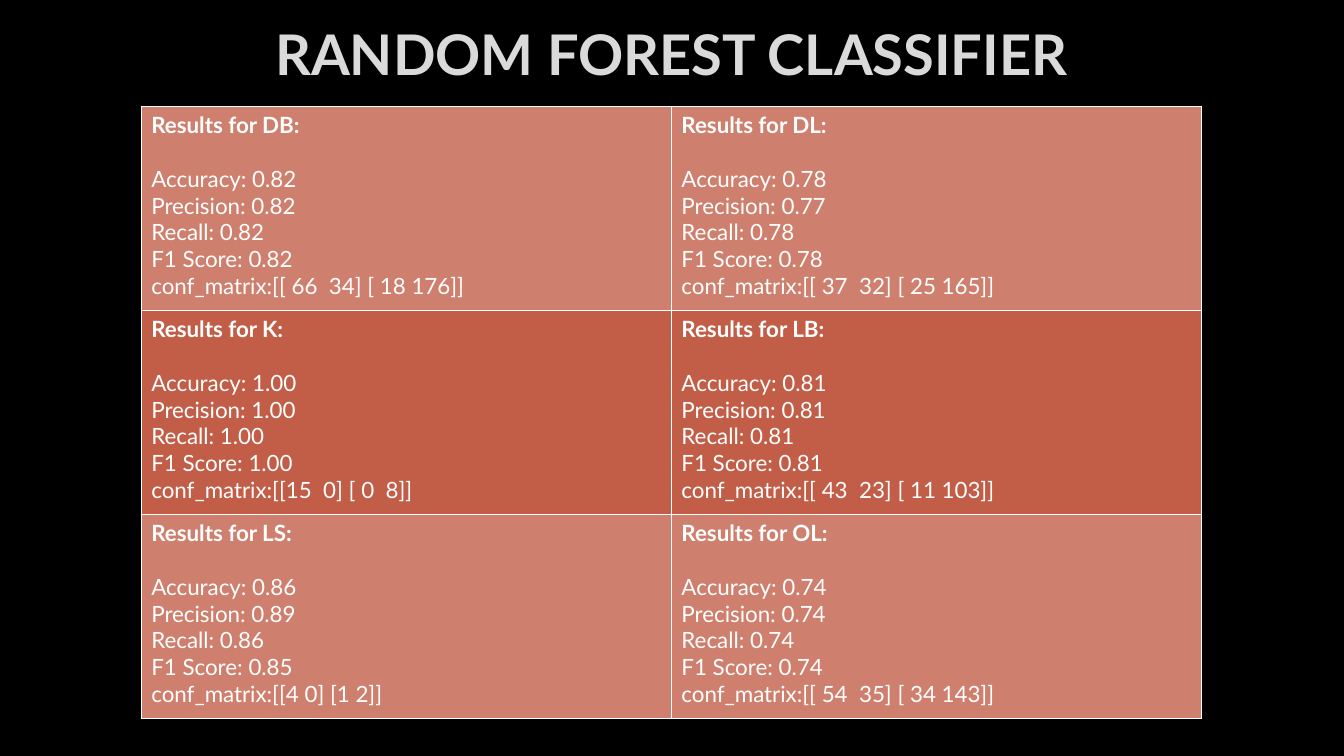
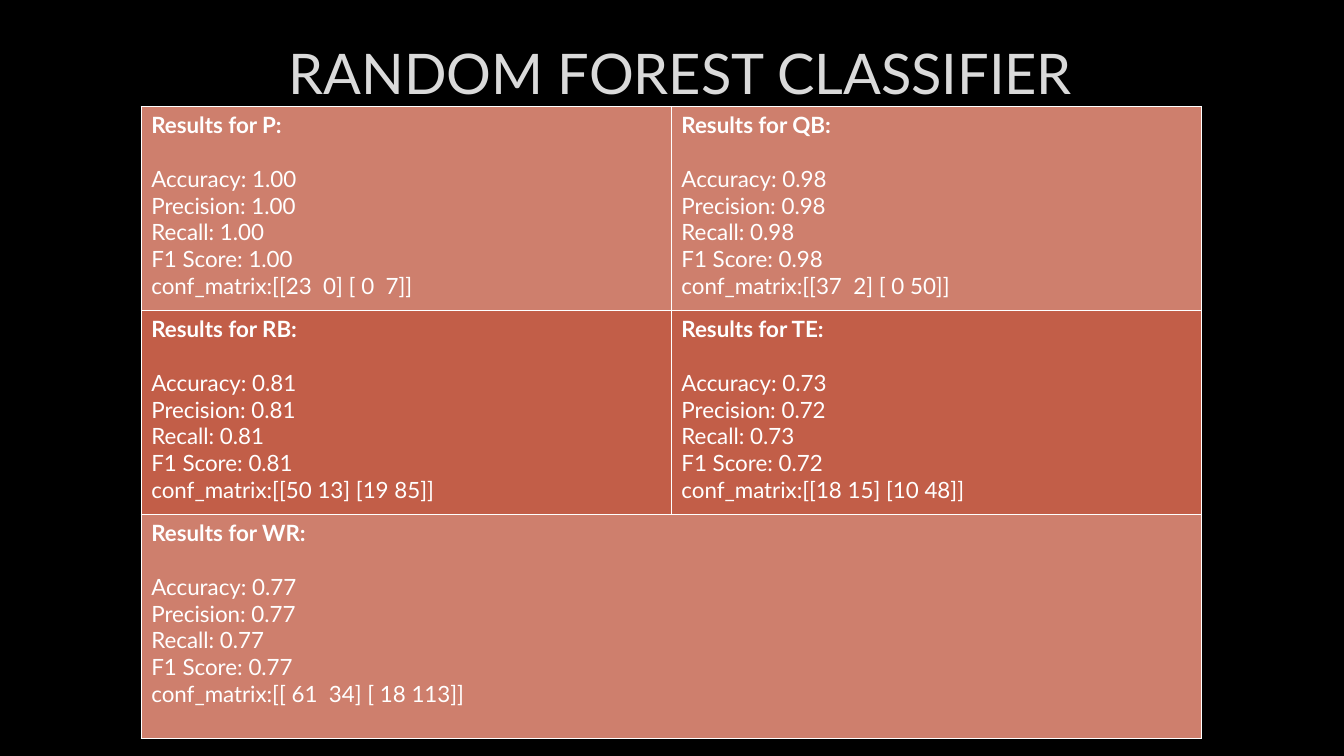
from dataclasses import dataclass

from lxml import etree
from pptx import Presentation
from pptx.dml.color import RGBColor
from pptx.enum import text as t
from pptx.oxml import ns
from pptx.util import Cm, Pt


@dataclass(frozen=True)
class Theme:
    font: str = "Lato"
    back: str = "000000"
    title: str = "DADADA"
    text: str = "FFFFFF"
    rule: str = "FFFFFF"
    bands: tuple = ("CE7F6D", "C25E48")
    head_size: int = 40
    body_size: int = 16
    gap: float = 19.2  # one line of body text
    rule_width: int = 1


TITLE = "RANDOM FOREST CLASSIFIER"
LABELS = ("Accuracy: ", "Precision: ", "Recall: ", "F1 Score: ", "conf_matrix:")

FIRST = [
    ("DB", "0.82", "0.82", "0.82", "0.82", "[[ 66  34] [ 18 176]]"),
    ("DL", "0.78", "0.77", "0.78", "0.78", "[[ 37  32] [ 25 165]]"),
    ("K", "1.00", "1.00", "1.00", "1.00", "[[15  0] [ 0  8]]"),
    ("LB", "0.81", "0.81", "0.81", "0.81", "[[ 43  23] [ 11 103]]"),
    ("LS", "0.86", "0.89", "0.86", "0.85", "[[4 0] [1 2]]"),
    ("OL", "0.74", "0.74", "0.74", "0.74", "[[ 54  35] [ 34 143]]"),
]
SECOND = [
    ("P", "1.00", "1.00", "1.00", "1.00", "[[23  0] [ 0  7]]"),
    ("QB", "0.98", "0.98", "0.98", "0.98", "[[37  2] [ 0 50]]"),
    ("RB", "0.81", "0.81", "0.81", "0.81", "[[50 13] [19 85]]"),
    ("TE", "0.73", "0.72", "0.73", "0.72", "[[18 15] [10 48]]"),
    ("WR", "0.77", "0.77", "0.77", "0.77", "[[ 61  34] [ 18 113]]"),
]


class Deck:
    def __init__(self, theme):
        self.theme = theme
        self.prs = Presentation()
        self.prs.slide_width, self.prs.slide_height = Cm(33.87), Cm(19.05)
        self.slide = None

    def page(self):
        self.slide = self.prs.slides.add_slide(self.prs.slide_layouts[6])
        fill = self.slide.background.fill
        fill.solid()
        fill.fore_color.rgb = RGBColor.from_string(self.theme.back)

    def style(self, para, size, color, bold):
        font = para.font
        font.name, font.size, font.bold = self.theme.font, Pt(size), bold
        font.color.rgb = RGBColor.from_string(color)

    def title(self, left, top, bold):
        box = self.slide.shapes.add_textbox(Cm(left), Cm(top), Cm(28.75), Cm(2.69))
        frame = box.text_frame
        frame.word_wrap = True
        frame.vertical_anchor = t.MSO_ANCHOR.MIDDLE
        para = frame.paragraphs[0]
        para.text = TITLE
        para.alignment = t.PP_ALIGN.CENTER
        self.style(para, self.theme.head_size, self.theme.title, bold)

    def border(self, cell):
        props = cell._tc.get_or_add_tcPr()
        for side in ("a:lnL", "a:lnR", "a:lnT", "a:lnB"):
            line = etree.SubElement(props, ns.qn(side), w=str(Pt(self.theme.rule_width)))
            fill = etree.SubElement(line, ns.qn("a:solidFill"))
            etree.SubElement(fill, ns.qn("a:srgbClr"), val=self.theme.rule)

    def result(self, cell, name, *scores):
        frame = cell.text_frame
        lines = [f"Results for {name}:"]
        lines += [label + score for label, score in zip(LABELS, scores)]
        for i, line in enumerate(lines):
            para = frame.add_paragraph() if i else frame.paragraphs[0]
            para.text = line
            if i == 1:
                para.space_before = Pt(self.theme.gap)
            self.style(para, self.theme.body_size, self.theme.text, i == 0)

    def grid(self, results, heights):
        """Fill a two-column table; a lone last result spans its row."""
        table = self.slide.shapes.add_table(
            len(heights), 2, Cm(3.56), Cm(2.69), Cm(26.72), Cm(sum(heights))).table
        table.first_row = table.horz_banding = False
        for r, height in enumerate(heights):
            table.rows[r].height = Cm(height)
            for cell in table.rows[r].cells:
                self.border(cell)
                cell.fill.solid()
                cell.fill.fore_color.rgb = RGBColor.from_string(self.theme.bands[r % 2])
        for i, item in enumerate(results):
            self.result(table.cell(*divmod(i, 2)), *item)
        if len(results) % 2:
            last = len(heights) - 1
            table.cell(last, 0).merge(table.cell(last, 1))


def main():
    deck = Deck(Theme())
    deck.page()
    deck.title(2.54, 0, True)
    deck.grid(FIRST, (5.14, 5.14, 5.14))
    deck.page()
    deck.title(2.77, 0.48, False)
    deck.grid(SECOND, (5.14, 5.14, 5.64))
    deck.prs.save("out.pptx")


if __name__ == "__main__":
    main()
